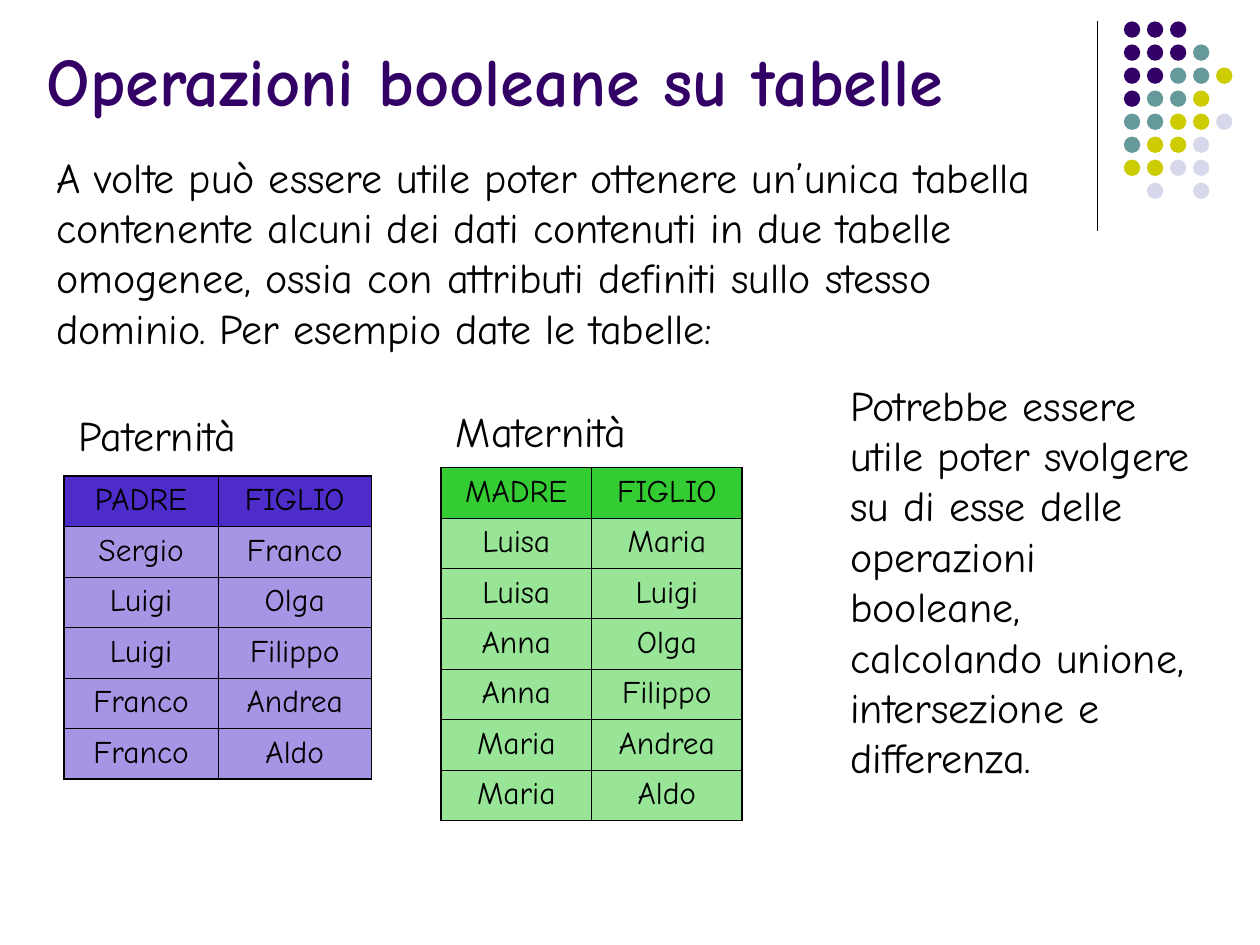
from pptx import Presentation
from pptx import util as u
from pptx.dml import color
from pptx.enum import shapes, text
from pptx.oxml import xmlchemy as xc
from lxml import etree
from pptx.oxml.ns import qn

IN = u.Inches
FONT = "Comic Neue"
PURPLE, TEAL, OLIVE, PALE = "330066", "669999", "CCCC00", "D8D8EC"
THIN, THICK = 0.45, 1.08
LEFT, MID = text.PP_ALIGN.LEFT, text.PP_ALIGN.CENTER


def rgb(code):
    return color.RGBColor.from_string(code)


def write(frame, words, size=24, ink="000000", bold=False, align=LEFT,
          before=0, wrap=True, anchor=text.MSO_ANCHOR.TOP):
    frame.word_wrap = wrap
    frame.vertical_anchor = anchor
    par = frame.paragraphs[0]
    par.alignment = align
    par.space_before = u.Pt(before)
    run = par.add_run()
    run.text = words
    font = run.font
    font.name, font.size, font.bold = FONT, u.Pt(size), bold
    font.color.rgb = rgb(ink)


def label(slide, box, words, **form):
    item = slide.shapes.add_textbox(*map(IN, box))
    write(item.text_frame, words, **form)


def title(slide, box, words):
    head = slide.shapes.title
    head.left, head.top, head.width, head.height = map(IN, box)
    write(head.text_frame, words, size=39, ink=PURPLE, bold=True,
          anchor=text.MSO_ANCHOR.BOTTOM)
    head.text_frame.auto_size = text.MSO_AUTO_SIZE.NONE


# Vertical rule and the grid of dots beside it
def corner(slide, x, y):
    rule = slide.shapes.add_connector(
        shapes.MSO_CONNECTOR.STRAIGHT, IN(x), IN(y), IN(x), IN(y + 1.66))
    rule.line.color.rgb = rgb("000000")
    rule.line.width = u.Pt(0.74)
    etree.SubElement(rule._element.spPr, qn("a:effectLst"))

    inks = {"P": PURPLE, "T": TEAL, "Y": OLIVE, "L": PALE}
    grid = ["PPP", "PPPT", "PPTTY", "PTTY", "TTYYL", "TYYL", "YYLL", ".L.L"]
    step, size = 1.28 / 7, 0.13
    for row, marks in enumerate(grid):
        for col, mark in enumerate(marks):
            if mark not in inks:
                continue
            dot = slide.shapes.add_shape(
                shapes.MSO_SHAPE.OVAL, IN(x + 0.21 + col * step),
                IN(y + row * step), IN(size), IN(size))
            dot.shadow.inherit = False
            dot.fill.solid()
            dot.fill.fore_color.rgb = rgb(inks[mark])
            dot.line.fill.background()


def border(cell, **widths):
    props = cell._tc.get_or_add_tcPr()
    for side in "LRTB":
        line = etree.SubElement(props, qn("a:ln" + side),
                                w=str(u.Pt(widths[side])))
        fill = etree.SubElement(line, qn("a:solidFill"))
        etree.SubElement(fill, qn("a:srgbClr"), val="000000")


def paint(cell, code, clear):
    cell.fill.solid()
    cell.fill.fore_color.rgb = rgb(code)
    if clear:
        tint = cell._tc.tcPr.find(".//" + qn("a:solidFill") + "[last()]")
        tint = cell._tc.tcPr.findall(qn("a:solidFill"))[0][0]
        etree.SubElement(tint, qn("a:alpha"), val="50000")


# Table with a strong header, half-clear body and a thick outer frame
def table(slide, x, y, width, code, rows):
    high, wide = len(rows), len(rows[0])
    grid = slide.shapes.add_table(
        high, wide, IN(x), IN(y), IN(width), IN(0.4 * high)).table
    grid.first_row = grid.horz_banding = False
    for r, names in enumerate(rows):
        grid.rows[r].height = IN(0.4)
        for c, name in enumerate(names):
            cell = grid.cell(r, c)
            write(cell.text_frame, name, size=18, align=MID, before=4.5)
            border(cell, L=THIN if c else THICK, T=THIN if r else THICK,
                   R=THICK if c == wide - 1 else THIN,
                   B=THICK if r == high - 1 else THIN)
            paint(cell, code, clear=r > 0)


def build(slide):
    corner(slide, 8.71, 0.17)
    title(slide, (0.27, -0.42, 8.25, 1.42), "Operazioni booleane su tabelle")
    label(slide, (0.35, 1.15, 8.35, 1.7),
          "A volte può essere utile poter ottenere un’unica tabella "
          "contenente alcuni dei dati contenuti in due tabelle omogenee, "
          "ossia con attributi definiti sullo stesso dominio. "
          "Per esempio date le tabelle:")
    table(slide, 3.5, 3.71, 2.39, "33CC33", [
        ("MADRE", "FIGLIO"), ("Luisa", "Maria"), ("Luisa", "Luigi"),
        ("Anna", "Olga"), ("Anna", "Filippo"), ("Maria", "Andrea"),
        ("Maria", "Aldo")])
    table(slide, 0.51, 3.78, 2.44, "4E2CCA", [
        ("PADRE", "FIGLIO"), ("Sergio", "Franco"), ("Luigi", "Olga"),
        ("Luigi", "Filippo"), ("Franco", "Andrea"), ("Franco", "Aldo")])
    label(slide, (3.52, 3.17, 1.57, 0.5), "Maternità", wrap=False)
    label(slide, (0.51, 3.2, 1.48, 0.5), "Paternità", wrap=False, align=MID)
    label(slide, (6.65, 2.96, 2.91, 3.3),
          "Potrebbe essere utile poter svolgere su di esse delle operazioni "
          "booleane, calcolando unione, intersezione e differenza.")


deck = Presentation()
deck.slide_width, deck.slide_height = IN(10), IN(7.5)
build(deck.slides.add_slide(deck.slide_layouts[5]))
deck.save("out.pptx")
